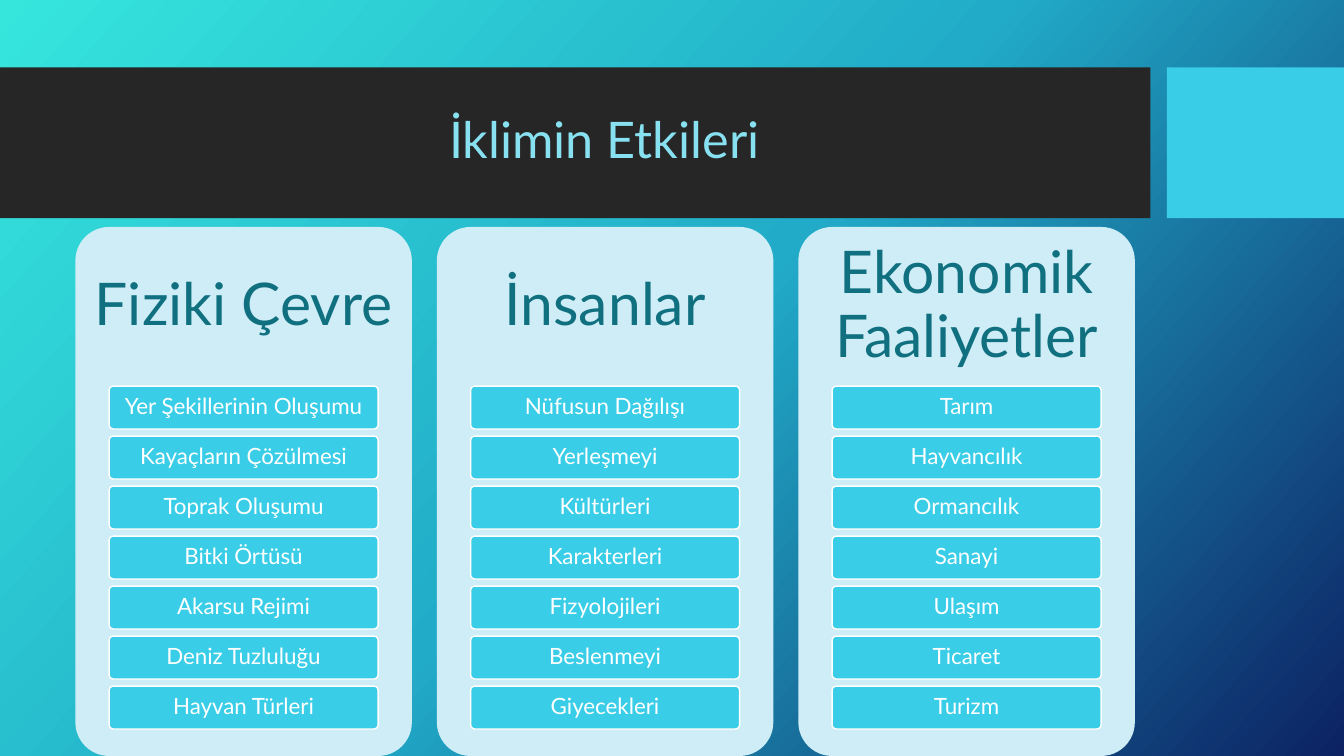
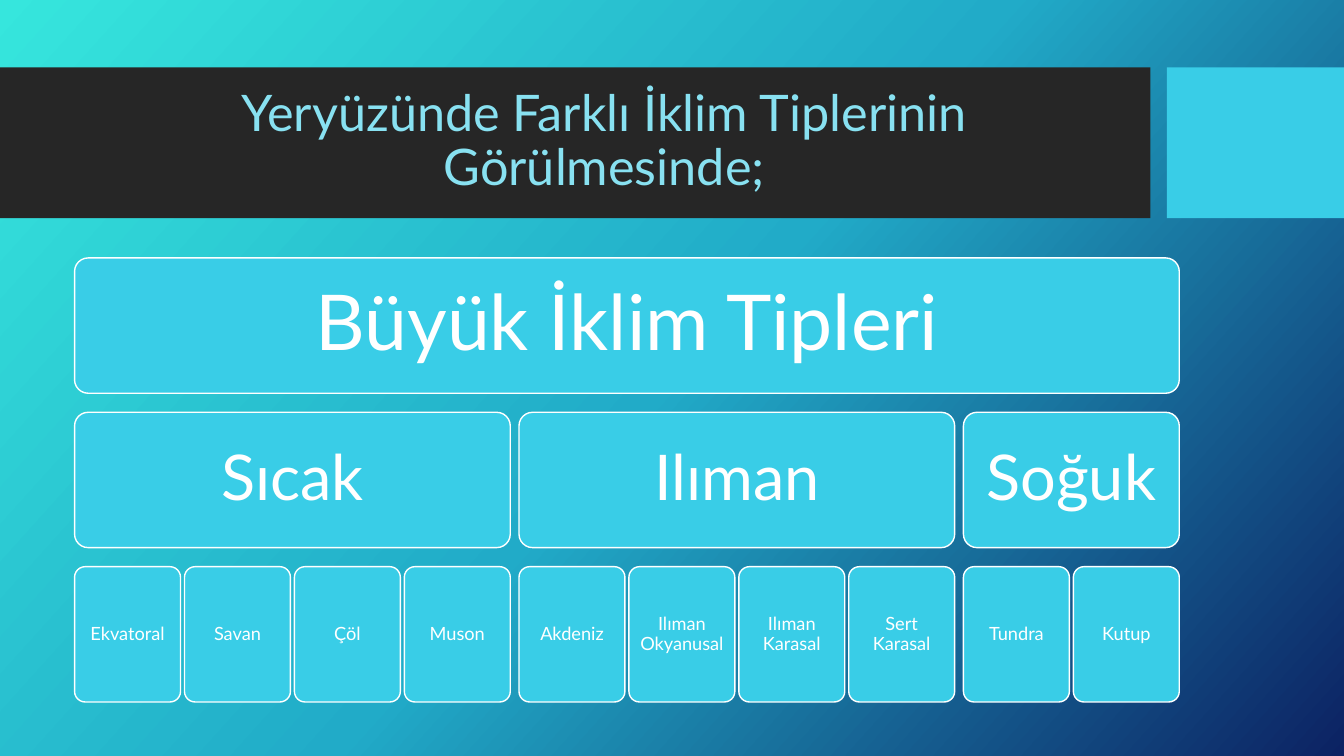
from dataclasses import dataclass

from lxml import etree
from pptx import Presentation
from pptx.dml.color import RGBColor
from pptx.enum.shapes import MSO_SHAPE
from pptx.enum.text import MSO_ANCHOR, MSO_AUTO_SIZE, PP_ALIGN
from pptx.oxml.ns import qn
from pptx.slide import Slide, SlideLayout
from pptx.text.text import TextFrame
from pptx.util import Cm, Pt

RECTANGLE = MSO_SHAPE.RECTANGLE
ROUNDED = MSO_SHAPE.ROUNDED_RECTANGLE
MIDDLE = MSO_ANCHOR.MIDDLE
CENTER = PP_ALIGN.CENTER
NO_AUTOFIT = MSO_AUTO_SIZE.NONE

FONT = "Lato"
COLORS = {
    "band": "262626",
    "accent": "39CDE7",
    "title": "88E1F1",
    "card": "CEEDF6",
    "heading": "107080",
    "white": "FFFFFF",
}
BACKGROUND_STOPS = ((0, "36E6DD"), (50, "21ABC8"), (100, "0C2263"))
BACKGROUND_ANGLE = 42


@dataclass(frozen=True)
class Box:
    """Position and size in centimetres."""
    left: float
    top: float
    width: float
    height: float

    def lengths(self) -> tuple[Cm, Cm, Cm, Cm]:
        return Cm(self.left), Cm(self.top), Cm(self.width), Cm(self.height)


@dataclass(frozen=True)
class TextStyle:
    size: float
    color: str
    inset: float
    inset_vertical: float


@dataclass(frozen=True)
class Group:
    heading: str
    items: tuple[str, ...]


TITLE_STYLE = TextStyle(36, "title", 0.25, 0.13)
CARD_HEADING_STYLE = TextStyle(42, "heading", 0.42, 0.42)
ITEM_STYLE = TextStyle(16, "white", 0.1, 0.08)
ROOT_STYLE = TextStyle(55, "white", 0.58, 0.58)
BRANCH_STYLE = TextStyle(45, "white", 0.45, 0.45)
LEAF_STYLE = TextStyle(13, "white", 0.13, 0.13)

TITLE_BOX = Box(1.88, 2.08, 26.7, 3)
BANDS = ((Box(0, 1.7, 28.99, 3.8), "band"), (Box(29.41, 1.7, 4.46, 3.8), "accent"))

EFFECTS = (
    Group("Fiziki Çevre", (
        "Yer Şekillerinin Oluşumu", "Kayaçların Çözülmesi", "Toprak Oluşumu",
        "Bitki Örtüsü", "Akarsu Rejimi", "Deniz Tuzluluğu", "Hayvan Türleri")),
    Group("İnsanlar", (
        "Nüfusun Dağılışı", "Yerleşmeyi", "Kültürleri", "Karakterleri",
        "Fizyolojileri", "Beslenmeyi", "Giyecekleri")),
    Group("Ekonomik Faaliyetler", (
        "Tarım", "Hayvancılık", "Ormancılık", "Sanayi", "Ulaşım", "Ticaret",
        "Turizm")),
)
CLIMATES = (
    Group("Sıcak", ("Ekvatoral", "Savan", "Çöl", "Muson")),
    Group("Ilıman", ("Akdeniz", "Ilıman Okyanusal", "Ilıman Karasal", "Sert Karasal")),
    Group("Soğuk", ("Tundra", "Kutup")),
)


def color(name: str) -> RGBColor:
    return RGBColor.from_string(COLORS[name])


def write_text(text_frame: TextFrame, text: str, style: TextStyle) -> None:
    text_frame.text = text
    text_frame.word_wrap = True
    text_frame.auto_size = NO_AUTOFIT
    text_frame.vertical_anchor = MIDDLE
    text_frame.margin_left = text_frame.margin_right = Cm(style.inset)
    text_frame.margin_top = text_frame.margin_bottom = Cm(style.inset_vertical)
    paragraph = text_frame.paragraphs[0]
    paragraph.alignment = CENTER
    paragraph.line_spacing = 0.9
    font = paragraph.runs[0].font
    font.name = FONT
    font.size = Pt(style.size)
    font.color.rgb = color(style.color)


def add_panel(slide: Slide, box: Box, fill: str, preset: MSO_SHAPE = ROUNDED):
    shape = slide.shapes.add_shape(preset, *box.lengths())
    shape.shadow.inherit = False
    shape.fill.solid()
    shape.fill.fore_color.rgb = color(fill)
    shape.line.fill.background()
    if preset == ROUNDED:
        shape.adjustments[0] = 0.1
    return shape


def add_tile(slide: Slide, box: Box, text: str, style: TextStyle) -> None:
    shape = add_panel(slide, box, "accent")
    shape.line.color.rgb = color("white")
    shape.line.width = Pt(1)
    write_text(shape.text_frame, text, style)


def set_background(master) -> None:
    fill = master.background.fill
    fill.gradient()
    fill.gradient_angle = 360 - BACKGROUND_ANGLE
    stops = next(master.element.iter(qn("a:gsLst")))
    for stop in list(stops):
        stops.remove(stop)
    for position, value in BACKGROUND_STOPS:
        stop = etree.SubElement(stops, qn("a:gs"), pos=str(position * 1000))
        etree.SubElement(stop, qn("a:srgbClr"), val=value)


def add_master_bands(master, slide: Slide) -> None:
    """Draw the bands and move them behind the master's placeholders."""
    tree = master.shapes.element if hasattr(master.shapes, "element") else None
    if tree is None:
        tree = next(master.element.iter(qn("p:spTree")))
    for offset, (box, fill) in enumerate(BANDS):
        tree.insert(2 + offset, add_panel(slide, box, fill, RECTANGLE).element)


def add_titled_slide(presentation, layout: SlideLayout, title: str) -> Slide:
    slide = presentation.slides.add_slide(layout)
    shape = slide.shapes.title
    shape.left, shape.top, shape.width, shape.height = TITLE_BOX.lengths()
    write_text(shape.text_frame, title, TITLE_STYLE)
    return slide


def draw_effects(slide: Slide) -> None:
    card_width, card_pitch, heading_height = 8.48, 9.11, 4.01
    item_indent, item_height, item_pitch = 0.85, 1.08, 1.26
    for column, group in enumerate(EFFECTS):
        card = Box(1.9 + column * card_pitch, 5.72, card_width, 13.33)
        add_panel(slide, card, "card")
        heading = Box(card.left, card.top, card_width, heading_height)
        text_box = slide.shapes.add_textbox(*heading.lengths())
        write_text(text_box.text_frame, group.heading, CARD_HEADING_STYLE)
        for row, item in enumerate(group.items):
            top = card.top + heading_height + row * item_pitch
            box = Box(card.left + item_indent, top,
                      card_width - 2 * item_indent, item_height)
            add_tile(slide, box, item, ITEM_STYLE)


def draw_climates(slide: Slide) -> None:
    first_left, height = 1.88, 3.41
    root_top, branch_top, leaf_top = (6.5 + level * 3.89 for level in range(3))
    leaf_width, leaf_gap, branch_gap = 2.67, 0.1, 0.22
    leaf_pitch = leaf_width + leaf_gap
    widths = [len(group.items) * leaf_pitch - leaf_gap for group in CLIMATES]
    root_width = sum(widths) + branch_gap * (len(widths) - 1)
    root = Box(first_left, root_top, root_width, height)
    add_tile(slide, root, "Büyük İklim Tipleri", ROOT_STYLE)
    left = first_left
    for group, width in zip(CLIMATES, widths):
        add_tile(slide, Box(left, branch_top, width, height), group.heading, BRANCH_STYLE)
        for index, item in enumerate(group.items):
            box = Box(left + index * leaf_pitch, leaf_top, leaf_width, height)
            add_tile(slide, box, item, LEAF_STYLE)
        left += width + branch_gap


def main() -> None:
    presentation = Presentation()
    presentation.slide_width, presentation.slide_height = Cm(33.87), Cm(19.05)
    master = presentation.slide_master
    title_only = presentation.slide_layouts[5]
    set_background(master)

    # Effects of climate
    effects = add_titled_slide(presentation, title_only, "İklimin Etkileri")
    add_master_bands(master, effects)
    draw_effects(effects)

    # Climate types
    climates = add_titled_slide(
        presentation, title_only, "Yeryüzünde Farklı İklim Tiplerinin Görülmesinde;")
    draw_climates(climates)

    presentation.save("out.pptx")


if __name__ == "__main__":
    main()
